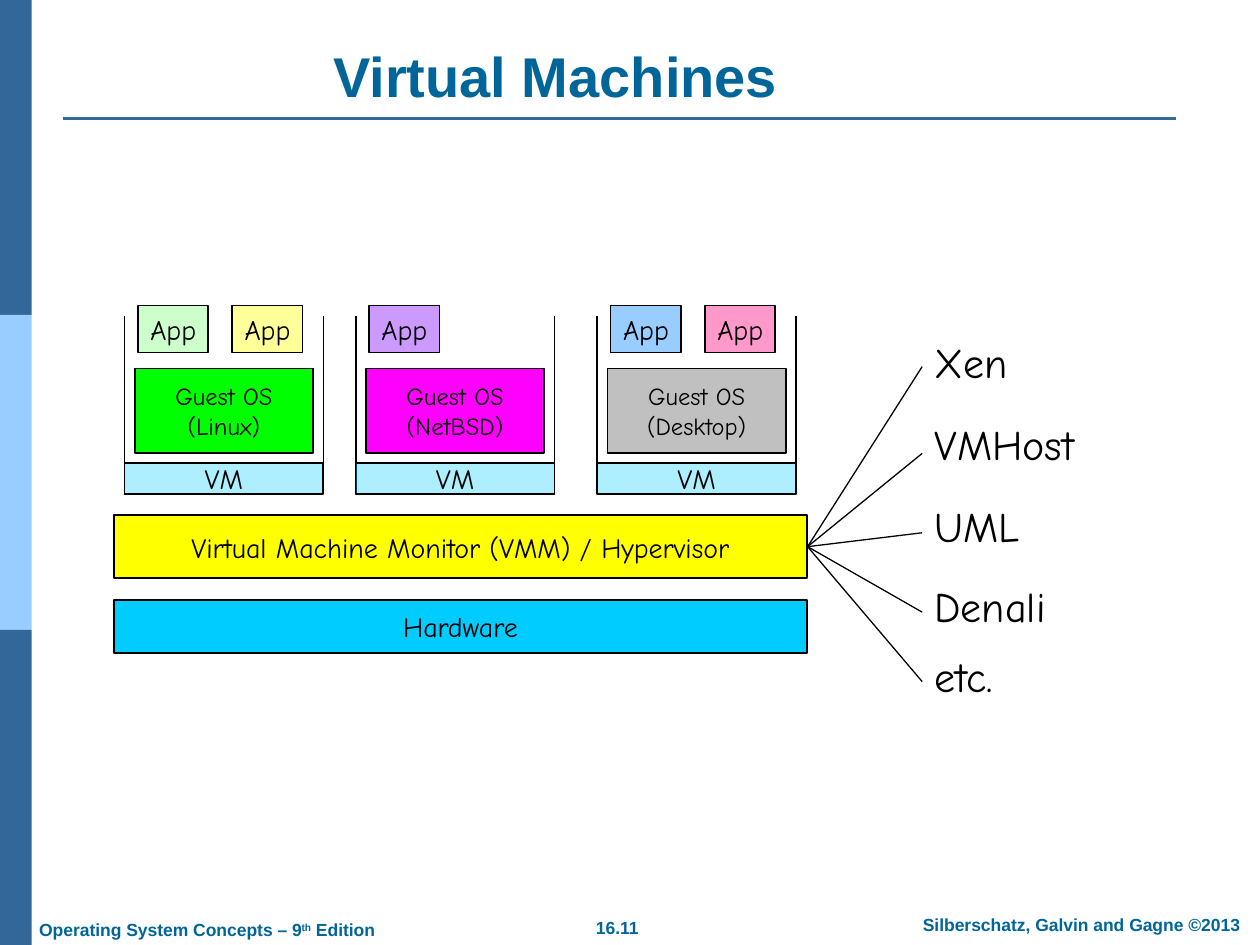
from lxml.etree import SubElement
from pptx import Presentation
from pptx.dml.color import RGBColor
from pptx.enum.shapes import MSO_CONNECTOR as Connector, MSO_SHAPE as Shape
from pptx.enum.text import MSO_ANCHOR as Anchor, PP_ALIGN as Align
from pptx.oxml.ns import qn
from pptx.util import Cm, Pt

BLACK, NAVY, TEAL = "000000", "336699", "006699"
HAND, SANS = "Comic Neue", "Arial"

SIDEBAR = [NAVY, "99CCFF", NAVY]
BAND_WIDTH, BAND_HEIGHT = 0.64, 6.35

TITLE = ("Virtual Machines", (1.14, -0.86, 20.12, 3.17))
FOOTERS = [
    ([("16.11", 0)], (11.1, 18.37, 2.69, 0.69), Align.CENTER),
    ([("Silberschatz, Galvin and Gagne ©2013", 0)], (18.03, 18.3, 7.54, 0.69), Align.CENTER),
    ([("Operating System Concepts – 9", 0), ("th", 30000), (" Edition", 0)],
     (0.54, 18.4, 7.8, 0.69), Align.LEFT),
]

LAYERS = [
    ("Hardware", "00CCFF", (2.3, 12.09, 13.97, 1.07)),
    ("Virtual Machine Monitor (VMM) / Hypervisor", "FFFF00", (2.3, 10.39, 13.97, 1.27)),
]
MACHINES = [
    (2.51, "(Linux)", "00FF00", ["CCFFCC", "FFFF99"]),
    (7.17, "(NetBSD)", "FF00FF", ["CC99FF"]),
    (12.04, "(Desktop)", "C0C0C0", ["99CCFF", "FF99CC"]),
]
MACHINE_WIDTH, WALL_TOP, MACHINE_BOTTOM, VM_HEIGHT = 4.01, 6.38, 9.96, 0.63
GUEST_INSET, GUEST_TOP, GUEST_HEIGHT = 0.21, 7.43, 1.7
APP_INSET, APP_PITCH, APP_TOP, APP_WIDTH, APP_HEIGHT = 0.27, 1.9, 6.16, 1.42, 0.95

HYPERVISORS = [
    ("Xen", 6.77, 7.39, 2.08),
    ("VMHost", 8.43, 9.14, 6.68),
    ("UML", 10.09, 10.74, 6.68),
    ("Denali", 11.69, 12.34, 6.68),
    ("etc.", 13.11, 13.74, 6.68),
]
HUB = (16.28, 11.02)
NAMES_LEFT, NAME_HEIGHT = 18.59, 1.29


def color(hex_code):
    return RGBColor.from_string(hex_code)


def write(shape, paragraphs, size, font=HAND, ink=BLACK, bold=False,
          align=Align.CENTER, anchor=Anchor.MIDDLE, wrap=False, spacing=1.0):
    frame = shape.text_frame
    frame.word_wrap = wrap
    frame.vertical_anchor = anchor
    for index, runs in enumerate(paragraphs):
        paragraph = frame.add_paragraph() if index else frame.paragraphs[0]
        paragraph.alignment = align
        paragraph.line_spacing = spacing
        for words, raised in runs:
            run = paragraph.add_run()
            run.text = words
            run.font.name = font
            run.font.size = Pt(size)
            run.font.bold = bold
            run.font.color.rgb = color(ink)
            if raised:
                run.font._element.set("baseline", str(raised))


def box(shapes, place, fill, outline=BLACK, alpha=None):
    shape = shapes.add_shape(Shape.RECTANGLE, *map(Cm, place))
    shape.shadow.inherit = False
    shape.fill.solid()
    shape.fill.fore_color.rgb = color(fill)
    if alpha:
        tint = shape._element.spPr.find(".//" + qn("a:srgbClr"))
        SubElement(tint, qn("a:alpha")).set("val", str(alpha * 1000))
    if outline:
        shape.line.color.rgb = color(outline)
        shape.line.width = Pt(1)
    else:
        shape.line.fill.background()
    return shape


def line(shapes, start, end, ink=BLACK, width=1.0):
    connector = shapes.add_connector(Connector.STRAIGHT, *map(Cm, start + end))
    connector.line.color.rgb = color(ink)
    connector.line.width = Pt(width)
    SubElement(connector._element.spPr, qn("a:effectLst"))


def label(shapes, place, paragraphs, size, **style):
    write(shapes.add_textbox(*map(Cm, place)), paragraphs, size, wrap=True, **style)


def draw_frame(shapes):
    for index, fill in enumerate(SIDEBAR):
        box(shapes, (0, index * BAND_HEIGHT, BAND_WIDTH, BAND_HEIGHT), fill, outline=None)
    line(shapes, (1.27, 2.39), (23.7, 2.39), NAVY, 1.5)
    heading, place = TITLE
    label(shapes, place, [[(heading, 0)]], 32, font=SANS, ink=TEAL, bold=True,
          anchor=Anchor.BOTTOM)
    for runs, place, align in FOOTERS:
        label(shapes, place, [runs], 10, font=SANS, ink=TEAL, bold=True,
              align=align, anchor=Anchor.TOP)


def draw_machine(shapes, left, system, guest_fill, app_fills):
    guest_place = (left + GUEST_INSET, GUEST_TOP, MACHINE_WIDTH - 2 * GUEST_INSET, GUEST_HEIGHT)
    guest = box(shapes, guest_place, guest_fill)
    write(guest, [[("Guest OS", 0)], [(system, 0)]], 14, spacing=1.02)

    shell = shapes.add_group_shape().shapes
    right = left + MACHINE_WIDTH
    for wall in (left, right):
        line(shell, (wall, WALL_TOP), (wall, MACHINE_BOTTOM))
    line(shell, (left, MACHINE_BOTTOM), (right, MACHINE_BOTTOM))
    vm_place = (left, MACHINE_BOTTOM - VM_HEIGHT, MACHINE_WIDTH, VM_HEIGHT)
    write(box(shell, vm_place, "00CCFF", alpha=32), [[("VM", 0)]], 16, spacing=1.02)

    for index, fill in enumerate(app_fills):
        app_left = left + APP_INSET + index * APP_PITCH
        app = box(shapes, (app_left, APP_TOP, APP_WIDTH, APP_HEIGHT), fill)
        write(app, [[("App", 0)]], 16, align=Align.LEFT, anchor=Anchor.TOP, spacing=1.02)


def main():
    deck = Presentation()
    deck.slide_width, deck.slide_height = Cm(25.4), Cm(19.05)
    shapes = deck.slides.add_slide(deck.slide_layouts[6]).shapes
    draw_frame(shapes)
    for words, fill, place in LAYERS:
        write(box(shapes, place, fill), [[(words, 0)]], 16, spacing=1.02)
    for machine in MACHINES:
        draw_machine(shapes, *machine)
    for name, top, line_end, width in HYPERVISORS:
        label(shapes, (NAMES_LEFT, top, width, NAME_HEIGHT), [[(name, 0)]], 24,
              align=Align.LEFT, anchor=Anchor.TOP, spacing=0.9)
        line(shapes, HUB, (NAMES_LEFT, line_end), width=0.75)
    deck.save("out.pptx")


if __name__ == "__main__":
    main()
